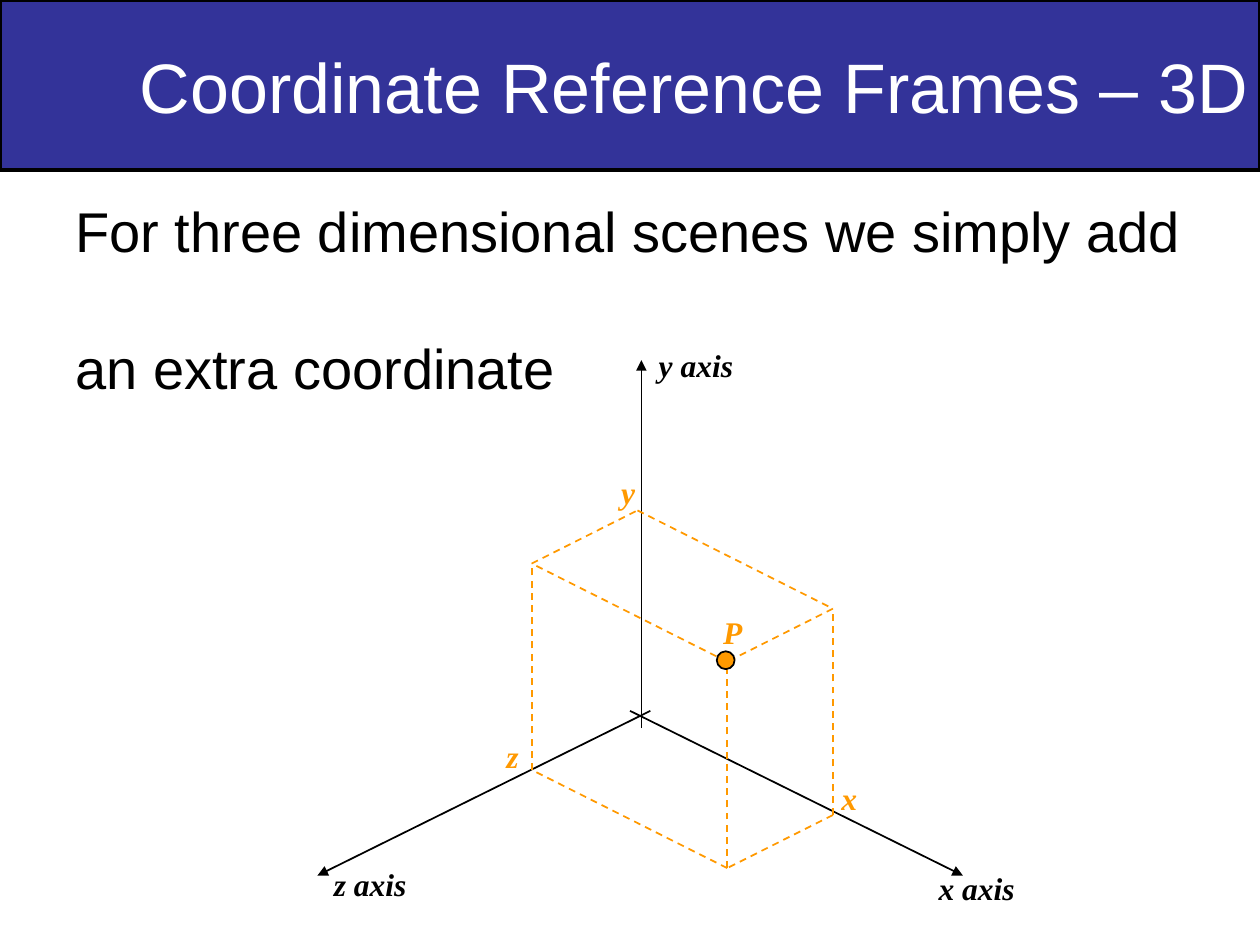
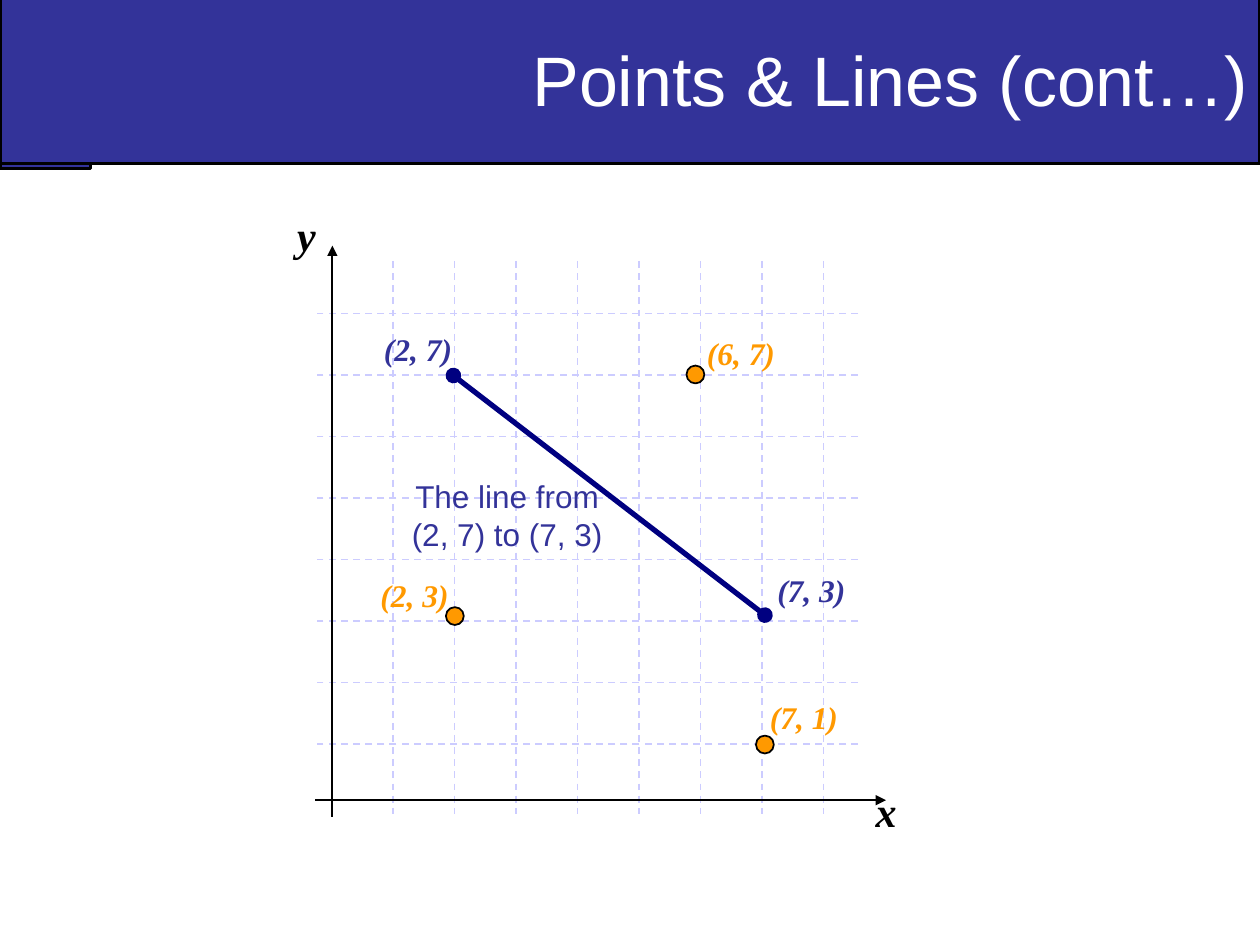
from itertools import product
from typing import NamedTuple

from lxml.etree import SubElement
from pptx import Presentation
from pptx.dml.color import RGBColor
from pptx.enum.dml import MSO_LINE
from pptx.enum.shapes import MSO_CONNECTOR, MSO_SHAPE
from pptx.enum.text import MSO_ANCHOR, MSO_AUTO_SIZE, PP_ALIGN
from pptx.oxml.ns import qn
from pptx.util import Cm, Pt

INDIGO = "333399"
NAVY = "000080"
ORANGE = "FF9900"
LAVENDER = "CCCCFF"
BLACK = "000000"
WHITE = "FFFFFF"
SANS = "Arial"
SERIF = "Times New Roman"
SLIDE_WIDTH = 25.4
DOT_SIZE = 0.36
GRID_STEP = 1.24


class Point(NamedTuple):
    x: float
    y: float

    def moved(self, *vectors: "Point") -> "Point":
        return Point(self.x + sum(vector.x for vector in vectors),
                     self.y + sum(vector.y for vector in vectors))


class Label(NamedTuple):
    text: str
    left: float
    top: float
    width: float
    color: str = ORANGE
    size: int = 18


class Line(NamedTuple):
    start: Point
    end: Point
    color: str = BLACK
    width: float = 1
    dashed: bool = False
    head: str = ""
    tail: str = ""


def color_of(value: str) -> RGBColor:
    return RGBColor.from_string(value)


def write_text(frame, text: str, *, font: str, size: float, color: str,
               bold=False, italic=False, align=PP_ALIGN.LEFT, gap: float = 0) -> None:
    for index, words in enumerate(text.split("\n")):
        paragraph = frame.add_paragraph() if index else frame.paragraphs[0]
        paragraph.alignment = align
        if index and gap:
            paragraph.space_before = Pt(gap)
        run = paragraph.add_run()
        run.text = words
        run.font.name = font
        run.font.size = Pt(size)
        run.font.bold = bold
        run.font.italic = italic
        run.font.color.rgb = color_of(color)


def add_text_box(slide, left: float, top: float, width: float, height: float,
                 text: str, wrap=False, **text_format) -> None:
    box = slide.shapes.add_textbox(Cm(left), Cm(top), Cm(width), Cm(height))
    box.text_frame.word_wrap = wrap
    if not wrap:
        box.text_frame.auto_size = MSO_AUTO_SIZE.SHAPE_TO_FIT_TEXT
    write_text(box.text_frame, text, **text_format)


def draw_label(slide, label: Label) -> None:
    height = 1.02 if label.size == 18 else 1.27
    add_text_box(slide, label.left, label.top, label.width, height, label.text,
                 font=SERIF, size=label.size, color=label.color, bold=True, italic=True)


def draw_shape(slide, kind, left: float, top: float, width: float, height: float,
               fill: str, outline: float):
    shape = slide.shapes.add_shape(kind, Cm(left), Cm(top), Cm(width), Cm(height))
    shape.shadow.inherit = False
    shape.fill.solid()
    shape.fill.fore_color.rgb = color_of(fill)
    shape.line.color.rgb = color_of(BLACK)
    shape.line.width = Pt(outline)
    return shape


def draw_dot(slide, center: Point) -> None:
    draw_shape(slide, MSO_SHAPE.OVAL, center.x - DOT_SIZE / 2, center.y - DOT_SIZE / 2,
               DOT_SIZE, DOT_SIZE, ORANGE, 1)


def draw_title(slide, text: str, top: float) -> None:
    band = draw_shape(slide, MSO_SHAPE.RECTANGLE, 0, top, SLIDE_WIDTH, 3.43, INDIGO, 2)
    band.text_frame.word_wrap = True
    band.text_frame.vertical_anchor = MSO_ANCHOR.MIDDLE
    write_text(band.text_frame, text, font=SANS, size=40, color=WHITE, align=PP_ALIGN.RIGHT)


def draw_line(slide, line: Line) -> None:
    connector = slide.shapes.add_connector(
        MSO_CONNECTOR.STRAIGHT,
        Cm(line.start.x), Cm(line.start.y), Cm(line.end.x), Cm(line.end.y))
    connector.line.color.rgb = color_of(line.color)
    connector.line.width = Pt(line.width)
    if line.dashed:
        connector.line.dash_style = MSO_LINE.DASH
    properties = connector.element.spPr
    outline = properties.find(qn("a:ln"))
    for tag, kind in (("a:headEnd", line.head), ("a:tailEnd", line.tail)):
        if kind:
            SubElement(outline, qn(tag)).set("type", kind)
    SubElement(properties, qn("a:effectLst"))


def draw_axis(slide, start: Point, end: Point) -> None:
    draw_line(slide, Line(start, end, tail="triangle"))


def draw_box_edges(slide) -> None:
    corner = Point(12.85, 10.29)
    along_x, along_z, down = Point(3.94, 1.98), Point(-2.13, 1.07), Point(0, 4.16)
    top = [corner, corner.moved(along_x), corner.moved(along_x, along_z),
           corner.moved(along_z)]
    base = [vertex.moved(down) for vertex in top]
    edges = list(zip(top, top[1:] + top[:1]))
    edges += list(zip(base[1:], base[2:]))
    edges += list(zip(base[1:], top[1:]))
    for start, end in edges:
        draw_line(slide, Line(start, end, ORANGE, dashed=True))


def draw_grid(slide) -> None:
    for step, vertical in product(range(8), (True, False)):
        x, y = 7.92 + step * GRID_STEP, 6.32 + step * GRID_STEP
        if vertical:
            start, end = Point(x, 5.26), Point(x, 16.41)
        else:
            start, end = Point(17.3, y), Point(6.4, y)
        draw_line(slide, Line(start, end, LAVENDER, dashed=True))


def build_frames_slide(slide) -> None:
    draw_title(slide, "Coordinate Reference Frames – 3D", 0)
    add_text_box(slide, 1.27, 3.84, 22.86, 15.2,
                 "For three dimensional scenes we simply add\nan extra coordinate",
                 wrap=True, font=SANS, size=32, color=BLACK, gap=40)
    draw_axis(slide, Point(12.93, 14.68), Point(12.93, 7.26))
    draw_axis(slide, Point(12.7, 14.33), Point(19.41, 17.65))
    draw_axis(slide, Point(13.11, 14.33), Point(6.4, 17.65))
    draw_box_edges(slide)
    draw_dot(slide, Point(14.63, 13.31))
    for label in (
        Label("x axis", 18.67, 17.4, 2.06, BLACK),
        Label("y axis", 13.03, 6.86, 2.01, BLACK),
        Label("z axis", 6.48, 17.32, 1.98, BLACK),
        Label("P", 14.33, 12.24, 0.89),
        Label("y", 12.27, 9.42, 0.79),
        Label("z", 9.96, 14.73, 0.76),
        Label("x", 16.71, 15.57, 0.84),
    ):
        draw_label(slide, label)


def build_points_slide(slide) -> None:
    draw_shape(slide, MSO_SHAPE.RECTANGLE, 0, 0, 1.83, 3.4, INDIGO, 2)
    draw_grid(slide)
    draw_line(slide, Line(Point(9.14, 7.57), Point(15.42, 12.4), NAVY, 3,
                          head="oval", tail="oval"))
    draw_title(slide, "Points & Lines (cont…)", -0.13)
    draw_axis(slide, Point(6.7, 16.46), Point(6.7, 4.95))
    draw_axis(slide, Point(6.35, 16.13), Point(17.86, 16.13))
    for center in (Point(9.17, 12.42), Point(15.42, 15.01), Point(14.02, 7.55)):
        draw_dot(slide, center)
    for label in (
        Label("x", 17.4, 15.72, 0.94, BLACK, 24),
        Label("y", 5.74, 4.09, 0.89, BLACK, 24),
        Label("(2, 3)", 7.42, 11.48, 1.88),
        Label("(6, 7)", 14, 6.6, 1.88),
        Label("(7, 1)", 15.27, 13.94, 1.88),
        Label("(7, 3)", 15.42, 11.38, 1.88, INDIGO),
        Label("(2, 7)", 7.49, 6.53, 1.88, INDIGO),
    ):
        draw_label(slide, label)
    add_text_box(slide, 8.03, 9.5, 4.39, 1.78, "The line from\n(2, 7) to (7, 3)",
                 font=SANS, size=18, color=INDIGO, align=PP_ALIGN.CENTER)


def main() -> None:
    presentation = Presentation()
    presentation.slide_width = Cm(SLIDE_WIDTH)
    presentation.slide_height = Cm(19.05)
    for build in (build_frames_slide, build_points_slide):
        build(presentation.slides.add_slide(presentation.slide_layouts[6]))
    presentation.save("out.pptx")


if __name__ == "__main__":
    main()
